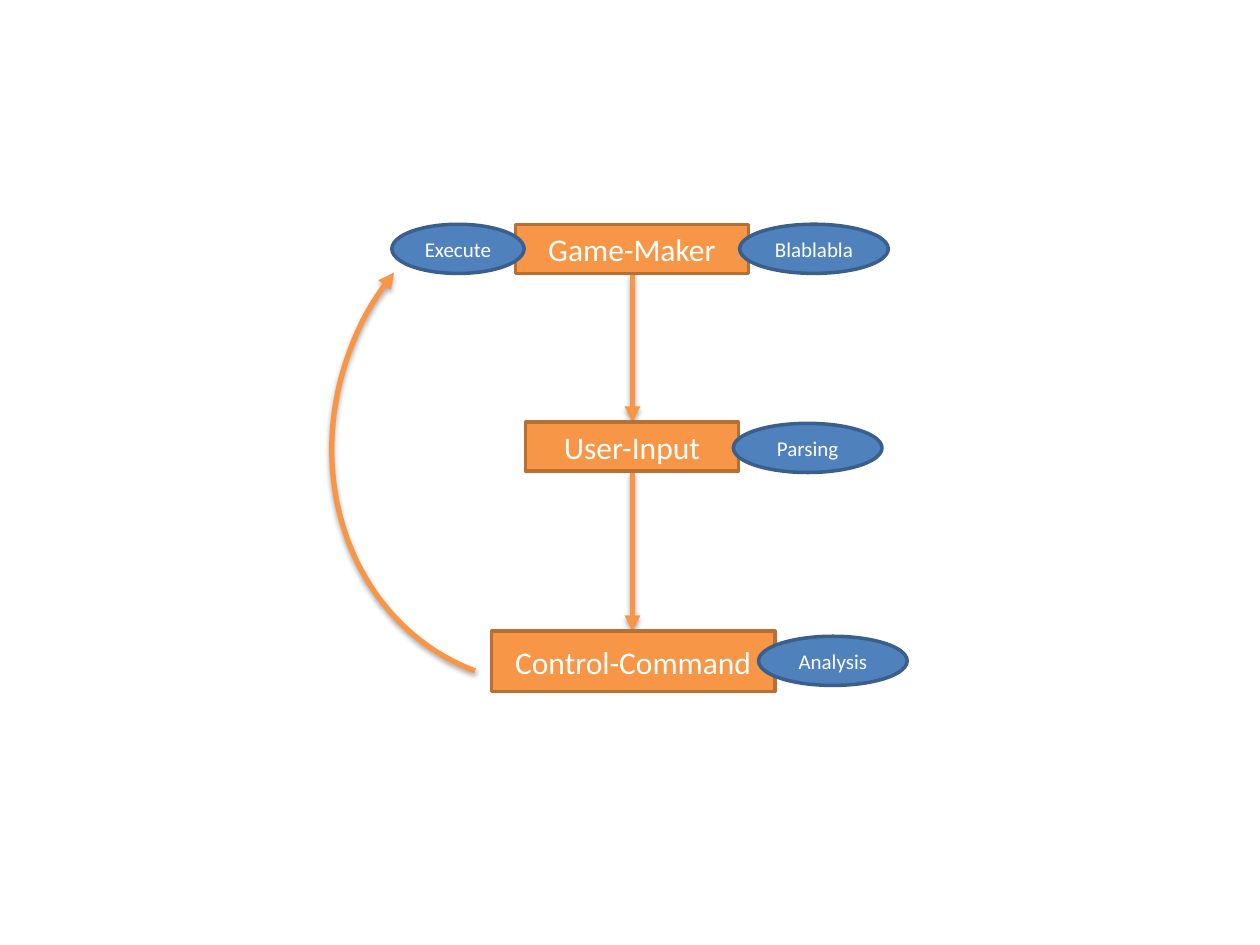
import pptx
import pptx.util
import pptx.dml.color
import pptx.enum.shapes
import pptx.enum.text
import pptx.oxml
import pptx.oxml.ns

Inches = pptx.util.Inches
Pt = pptx.util.Pt
SHAPE = pptx.enum.shapes.MSO_SHAPE
ORANGE = "F79646"


def paint(color_format, value):
    color_format.rgb = pptx.dml.color.RGBColor.from_string(value)


def style_arrow(arrow):
    paint(arrow.line.color, ORANGE)
    arrow.line.width = Pt(3)
    namespace = pptx.oxml.ns.nsdecls("a")
    arrow.line._get_or_add_ln().append(
        pptx.oxml.parse_xml(f'<a:tailEnd {namespace} type="triangle"/>'))
    properties = arrow._element.spPr
    for effects in properties.findall(pptx.oxml.ns.qn("a:effectLst")):
        properties.remove(effects)
    properties.append(pptx.oxml.parse_xml(
        f'<a:effectLst {namespace}>'
        f'<a:outerShdw blurRad="{Pt(3.1)}" dist="{Pt(1.8)}" dir="5400000" rotWithShape="0">'
        '<a:srgbClr val="000000"><a:alpha val="35000"/></a:srgbClr>'
        '</a:outerShdw></a:effectLst>'))


deck = pptx.Presentation()
deck.slide_width = Inches(10)
deck.slide_height = Inches(7.5)
page = deck.slides.add_slide(deck.slide_layouts[6])

box_style = (SHAPE.RECTANGLE, ORANGE, "B76F34", 18)
oval_style = (SHAPE.OVAL, "4F81BD", "3A5F8C", 12)
nodes = [
    ("Game-Maker", box_style, 4.09, 1.78, 1.85, 0.39),
    ("User-Input", box_style, 4.17, 3.35, 1.69, 0.39),
    ("Control-Command", box_style, 3.9, 5.01, 2.25, 0.48),
    ("Blablabla", oval_style, 5.87, 1.78, 1.18, 0.39),
    ("Parsing", oval_style, 5.82, 3.36, 1.18, 0.39),
    ("Analysis", oval_style, 6.02, 5.05, 1.18, 0.39),
    ("Execute", oval_style, 3.11, 1.78, 1.05, 0.39),
]

for top, bottom in [(2.18, 3.35), (3.74, 5.01)]:
    arrow = page.shapes.add_connector(
        pptx.enum.shapes.MSO_CONNECTOR.STRAIGHT,
        Inches(5.02), Inches(top), Inches(5.02), Inches(bottom))
    style_arrow(arrow)

return_arc = page.shapes.add_shape(
    SHAPE.ARC, Inches(2.66), Inches(1.39), Inches(3.63), Inches(4.06))
return_arc.rotation = 200.3
return_arc.adjustments[0] = 162
return_arc.adjustments[1] = 13.63
return_arc.fill.background()
style_arrow(return_arc)

for label, (kind, fill, outline, size), *place in nodes:
    node = page.shapes.add_shape(kind, *[Inches(length) for length in place])
    node.shadow.inherit = False
    node.fill.solid()
    paint(node.fill.fore_color, fill)
    paint(node.line.color, outline)
    node.line.width = Pt(2)
    frame = node.text_frame
    frame.text = label
    frame.word_wrap = True
    frame.vertical_anchor = pptx.enum.text.MSO_ANCHOR.MIDDLE
    para = frame.paragraphs[0]
    para.alignment = pptx.enum.text.PP_ALIGN.CENTER
    span = para.runs[0]
    span.font.name = "Calibri"
    span.font.size = Pt(size)
    paint(span.font.color, "FFFFFF")

deck.save("out.pptx")
